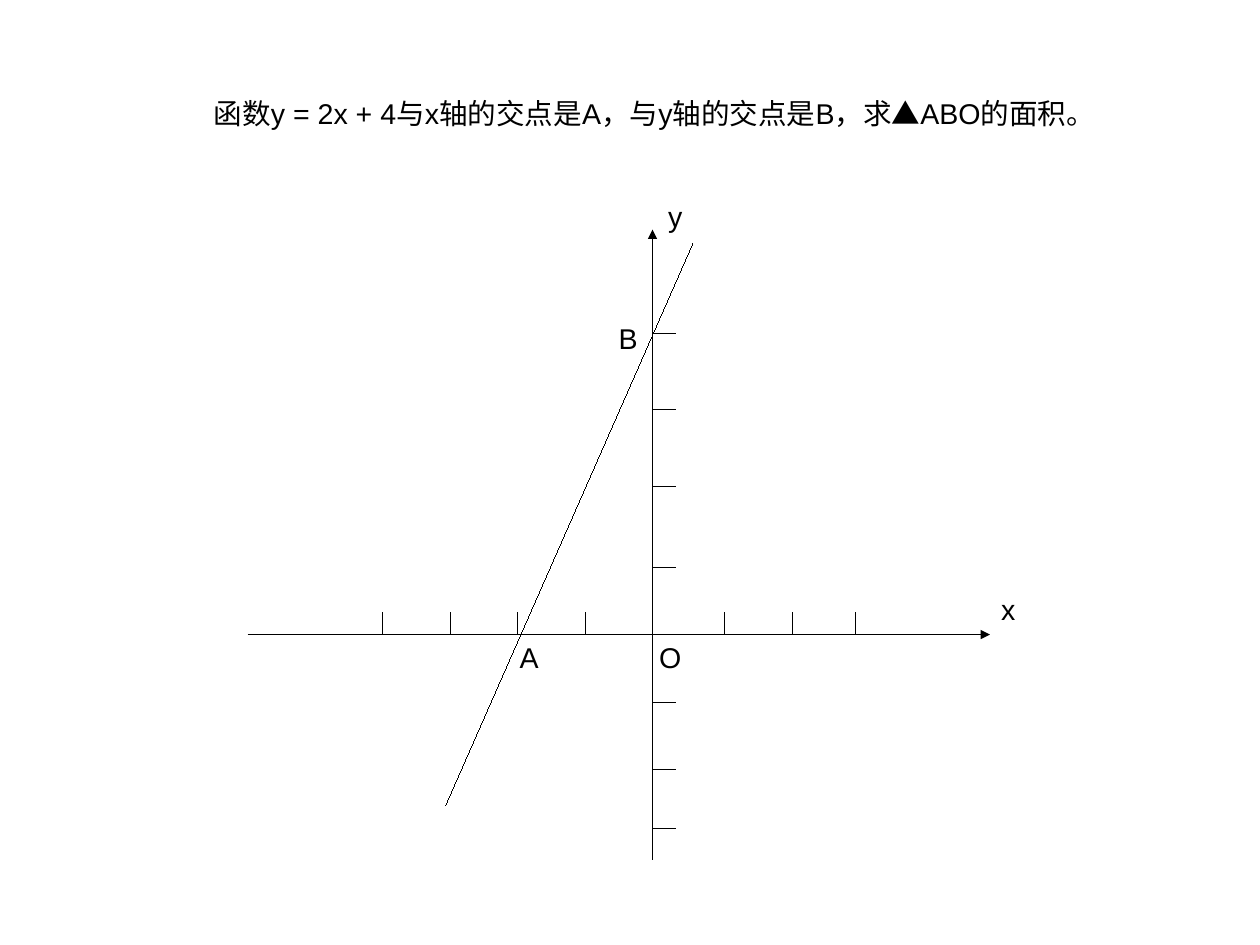
"""Draw the line y = 2x + 4 on a pair of axes, with its triangle question."""
from dataclasses import dataclass

from lxml import etree
from pptx import Presentation
from pptx import util as u
from pptx.dml.color import RGBColor
from pptx.enum import shapes, text
from pptx.oxml import ns
from pptx.slide import Slide

EMU_PER_PX = 3600
COLOURS = {"ink": "000000"}
FONT = "Arial"
FONT_SIZE = 18
SLIDE_WIDTH, SLIDE_HEIGHT = 2800, 2100
ORIGIN_X, ORIGIN_Y = 1450, 1410
TICK_LENGTH = 50
X_TICKS = (850, 1000, 1150, 1300, 1610, 1760, 1900)
Y_TICKS = (740, 910, 1080, 1260, 1560, 1710, 1840)


@dataclass(frozen=True)
class Segment:
    start_x: int
    start_y: int
    end_x: int
    end_y: int
    arrow: bool = False


@dataclass(frozen=True)
class Label:
    words: str
    left: int
    top: int
    width: int
    height: int = 96


AXES = (
    Segment(ORIGIN_X, 1910, ORIGIN_X, 510, arrow=True),
    Segment(550, ORIGIN_Y, 2200, ORIGIN_Y, arrow=True),
)
TICKS = (
    *(Segment(ORIGIN_X, y, ORIGIN_X + TICK_LENGTH, y) for y in Y_TICKS),
    *(Segment(x, ORIGIN_Y, x, ORIGIN_Y - TICK_LENGTH) for x in X_TICKS),
)
FUNCTION_LINE = Segment(1540, 540, 990, 1790)
LABELS = (
    Label("函数y = 2x + 4与x轴的交点是A，与y轴的交点是B，求▲ABO的面积。", 450, 200, 2205, 117),
    Label("x", 2200, 1302, 81),
    Label("y", 1460, 430, 81),
    Label("O", 1440, 1410, 99),
    Label("A", 1130, 1410, 91),
    Label("B", 1350, 700, 91),
)


def px(length: int) -> u.Emu:
    """Turn px into EMU."""
    return u.Emu(length * EMU_PER_PX)


def draw_segment(slide: Slide, segment: Segment) -> None:
    """Draw a hairline, with an arrowhead at its end if asked."""
    connector = slide.shapes.add_connector(
        shapes.MSO_CONNECTOR.STRAIGHT,
        px(segment.start_x), px(segment.start_y),
        px(segment.end_x), px(segment.end_y),
    )
    connector.line.color.rgb = RGBColor.from_string(COLOURS["ink"])
    outline = connector.line._get_or_add_ln()
    outline.set("w", "0")
    if segment.arrow:
        etree.SubElement(outline, ns.qn("a:tailEnd"), type="triangle")
    etree.SubElement(connector._element.spPr, ns.qn("a:effectLst"))


def draw_label(slide: Slide, label: Label) -> None:
    """Write one unwrapped line of text."""
    shape = slide.shapes.add_textbox(
        px(label.left), px(label.top), px(label.width), px(label.height)
    )
    text_frame = shape.text_frame
    text_frame.word_wrap = False
    text_frame.auto_size = text.MSO_AUTO_SIZE.SHAPE_TO_FIT_TEXT
    text_frame.text = label.words
    font = text_frame.paragraphs[0].runs[0].font
    font.name = FONT
    font.size = u.Pt(FONT_SIZE)
    font.color.rgb = RGBColor.from_string(COLOURS["ink"])


def main() -> None:
    """Build and save the slide."""
    presentation = Presentation()
    presentation.slide_width = px(SLIDE_WIDTH)
    presentation.slide_height = px(SLIDE_HEIGHT)
    slide = presentation.slides.add_slide(presentation.slide_layouts[6])
    for segment in (*AXES, *TICKS, FUNCTION_LINE):
        draw_segment(slide, segment)
    for label in LABELS:
        draw_label(slide, label)
    presentation.save("out.pptx")


if __name__ == "__main__":
    main()
